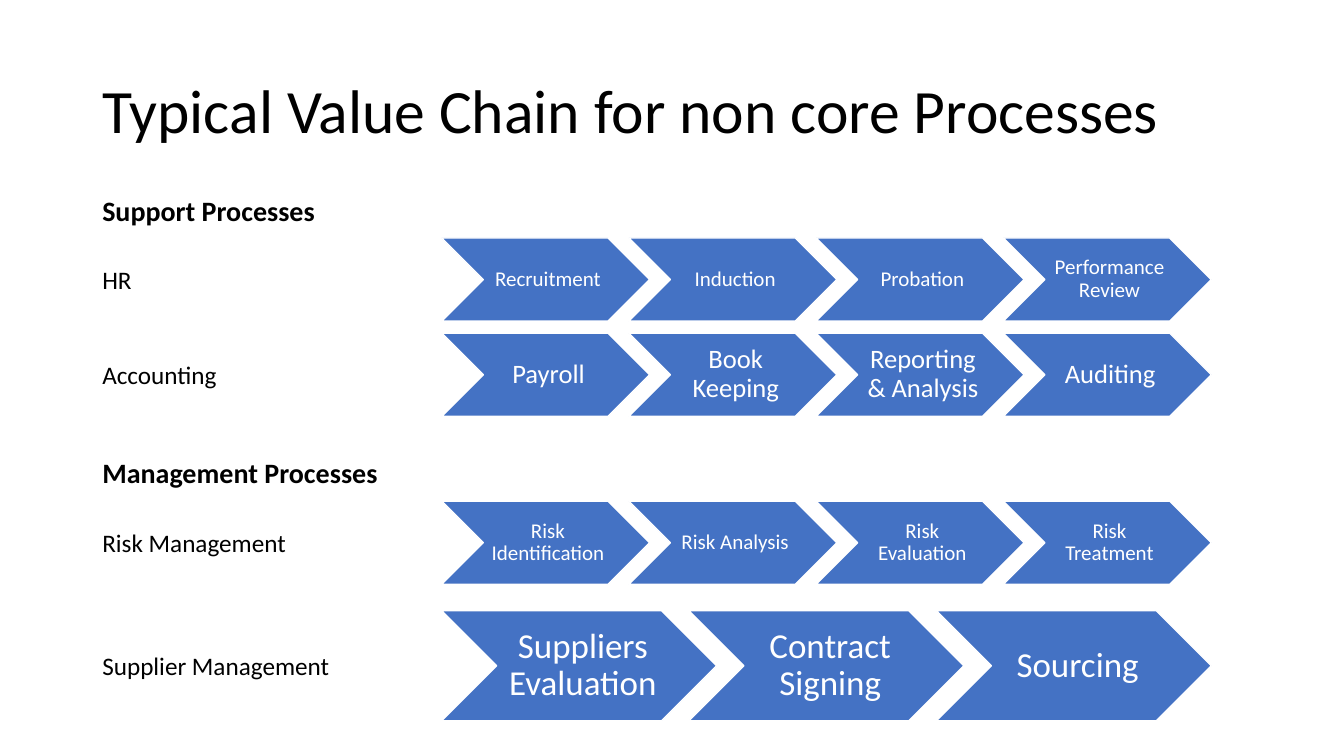
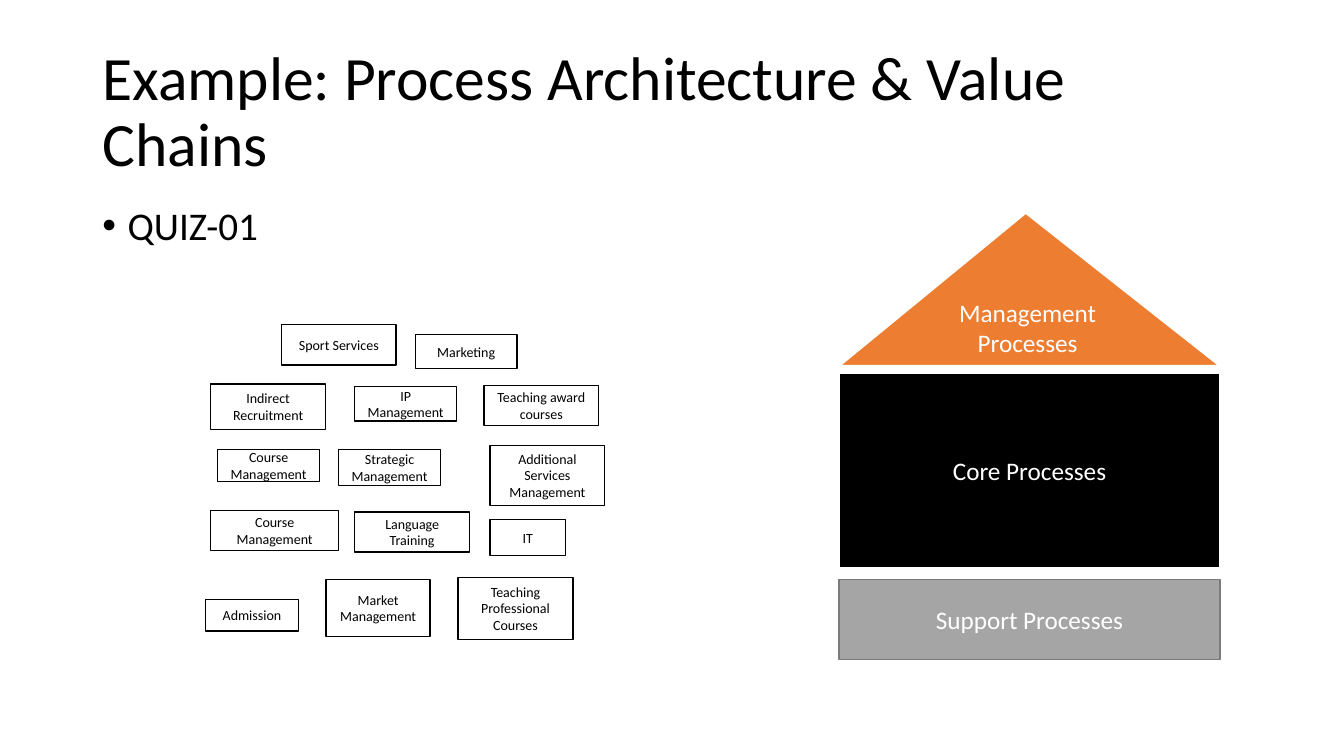
from dataclasses import dataclass
from pptx import Presentation
from pptx.dml.color import RGBColor
from pptx.enum.shapes import MSO_SHAPE
from pptx.enum.text import MSO_ANCHOR, MSO_AUTO_SIZE, PP_ALIGN
from pptx.oxml import parse_xml
from pptx.oxml.ns import nsdecls
from pptx.util import Pt

LEFT, CENTER = PP_ALIGN.LEFT, PP_ALIGN.CENTER
TOP, MIDDLE = MSO_ANCHOR.TOP, MSO_ANCHOR.MIDDLE
CHEVRON, RECT, TRIANGLE = MSO_SHAPE.CHEVRON, MSO_SHAPE.RECTANGLE, MSO_SHAPE.ISOSCELES_TRIANGLE
TITLE_ONLY, TITLE_AND_BODY = 5, 1


@dataclass(frozen=True)
class Theme:
    font: str = "Calibri"
    black: str = "000000"
    white: str = "FFFFFF"
    blue: str = "4472C4"
    orange: str = "ED7D31"
    gray: str = "A5A5A5"
    dark_gray: str = "7A7A7A"
    title: float = 44
    body: float = 28
    heading: float = 20
    label: float = 18
    small: float = 10


T = Theme()

# Content
CHAIN_TITLE = "Typical Value Chain for non core Processes"
HEADINGS = [("Support Processes", 134), ("Management Processes", 321)]
# label, top, text size, steps
CHAINS = [
    ("HR", 170, 15, ["Recruitment", "Induction", "Probation", "Performance Review"]),
    ("Accounting", 238, 19, ["Payroll", "Book Keeping", "Reporting & Analysis", "Auditing"]),
    ("Risk Management", 358, 15,
     ["Risk Identification", "Risk Analysis", "Risk Evaluation", "Risk Treatment"]),
    ("Supplier Management", 436.3, 25,
     ["Suppliers Evaluation", "Contract Signing", "Sourcing"]),
]

QUIZ_TITLE = "Example: Process Architecture & Value Chains"
QUIZ_BULLET = "QUIZ-01"
# text, shape, top, height, fill, line, line width
HOUSE = [
    ("Support Processes", RECT, 414, 57, T.gray, T.dark_gray, 1),
    ("Core Processes", RECT, 266.4, 139.7, T.black, T.white, 1.5),
    ("Management Processes", TRIANGLE, 152, 109.4, T.orange, T.white, 1.5),
]
# text, left, top, width, height
PROCESSES = [
    ("Sport Services", 201, 232, 82, 28.8),
    ("Marketing", 296.6, 239, 72.7, 24.5),
    ("Indirect Recruitment", 150.5, 274.3, 82, 32.4),
    ("IP Management", 253.4, 276.3, 72.7, 24.5),
    ("Teaching award courses", 345.6, 275.2, 82, 28.8),
    ("Course Management", 155.5, 321, 72.7, 23),
    ("Strategic Management", 241.9, 321, 72.7, 26),
    ("Additional Services Management", 350, 318.2, 82, 42.8),
    ("Course Management", 150.5, 364.5, 91.4, 28.8),
    ("Language Training", 253.4, 365.6, 82, 28.8),
    ("IT", 350, 371, 54, 26),
    ("Admission", 146.9, 428.4, 66.2, 22.3),
    ("Market Management", 233, 414, 74.2, 40.5),
    ("Teaching Professional Courses", 327.2, 412.4, 82, 44.2),
]

# Layout
SLIDE_W, SLIDE_H = 960, 540
MARGIN, CONTENT_W = 66, 828
CHAIN_LEFT, CHAIN_W = 315.5, 549.7
CHEVRON_STEP, CHEVRON_RATIO = 0.9, 0.4    # step and height, as shares of the width
HOUSE_LEFT, HOUSE_W = 599.3, 272.2


def place(sp, left, top, width, height):
    sp.left, sp.top, sp.width, sp.height = Pt(left), Pt(top), Pt(width), Pt(height)


def write(sp, text, size, color=T.black, bold=False, align=LEFT, anchor=MIDDLE,
          spacing=1.0, before=0, insets=(7.2, 3.6, 7.2, 3.6)):
    tf = sp.text_frame
    tf.word_wrap, tf.auto_size, tf.vertical_anchor = True, MSO_AUTO_SIZE.NONE, anchor
    tf.margin_left, tf.margin_top, tf.margin_right, tf.margin_bottom = map(Pt, insets)
    p = tf.paragraphs[0]
    p.alignment, p.line_spacing, p.space_before = align, spacing, Pt(before)
    r = p.add_run()
    r.text = text
    r.font.name, r.font.size, r.font.bold = T.font, Pt(size), bold
    r.font.color.rgb = RGBColor.from_string(color)
    return p


def add_box(s, kind, box, text, size, fill, line, line_w=1, **fmt):
    sp = s.shapes.add_shape(kind, *map(Pt, box))
    sp.shadow.inherit = False
    sp.fill.solid()
    sp.fill.fore_color.rgb = RGBColor.from_string(fill)
    sp.line.color.rgb = RGBColor.from_string(line)
    sp.line.width = Pt(line_w)
    write(sp, text, size, align=CENTER, **fmt)
    return sp


def add_label(s, text, top, height, size, bold=False):
    sp = s.shapes.add_textbox(Pt(MARGIN), Pt(top), Pt(230), Pt(height))
    write(sp, text, size, bold=bold)


def add_slide(prs, layout, title):
    s = prs.slides.add_slide(prs.slide_layouts[layout])
    place(s.shapes.title, MARGIN, 28.8, CONTENT_W, 104.4)
    write(s.shapes.title, title, T.title, spacing=0.9)
    return s


def add_chain(s, label, top, size, steps):
    width = CHAIN_W / (1 + CHEVRON_STEP * (len(steps) - 1))
    height = width * CHEVRON_RATIO
    inset = size * 0.32
    for i, step in enumerate(steps):
        box = (CHAIN_LEFT + i * width * CHEVRON_STEP, top, width, height)
        add_box(s, CHEVRON, box, step, size, T.blue, T.white, color=T.white,
                spacing=0.9, insets=(inset, inset / 3, inset / 3, inset / 3))
    add_label(s, label, top, height, T.label)


def build_chains(prs):
    s = add_slide(prs, TITLE_ONLY, CHAIN_TITLE)
    for text, top in HEADINGS:
        add_label(s, text, top, 32, T.heading, bold=True)
    for chain in CHAINS:
        add_chain(s, *chain)


def build_quiz(prs):
    s = add_slide(prs, TITLE_AND_BODY, QUIZ_TITLE)

    # Bullet
    body = s.placeholders[1]
    place(body, MARGIN, 144, CONTENT_W, 342.6)
    p = write(body, QUIZ_BULLET, T.body, anchor=TOP, spacing=0.9, before=10)
    pPr = p._p.get_or_add_pPr()
    pPr.set("marL", str(Pt(18)))
    pPr.set("indent", str(Pt(-18)))
    pPr.append(parse_xml(f'<a:buFont {nsdecls("a")} typeface="Arial"/>'))
    pPr.append(parse_xml(f'<a:buChar {nsdecls("a")} char="•"/>'))

    # Process house
    for text, kind, top, height, fill, line, line_w in HOUSE:
        sp = add_box(s, kind, (HOUSE_LEFT, top, HOUSE_W, height), text, T.label,
                     fill, line, line_w, color=T.white)
        if kind == TRIANGLE:
            sp.adjustments[0] = 0.49

    # Processes to sort
    for text, *box in PROCESSES:
        add_box(s, RECT, box, text, T.small, T.white, T.black)


def main():
    prs = Presentation()
    prs.slide_width, prs.slide_height = Pt(SLIDE_W), Pt(SLIDE_H)
    build_chains(prs)
    build_quiz(prs)
    prs.save("out.pptx")


if __name__ == "__main__":
    main()
